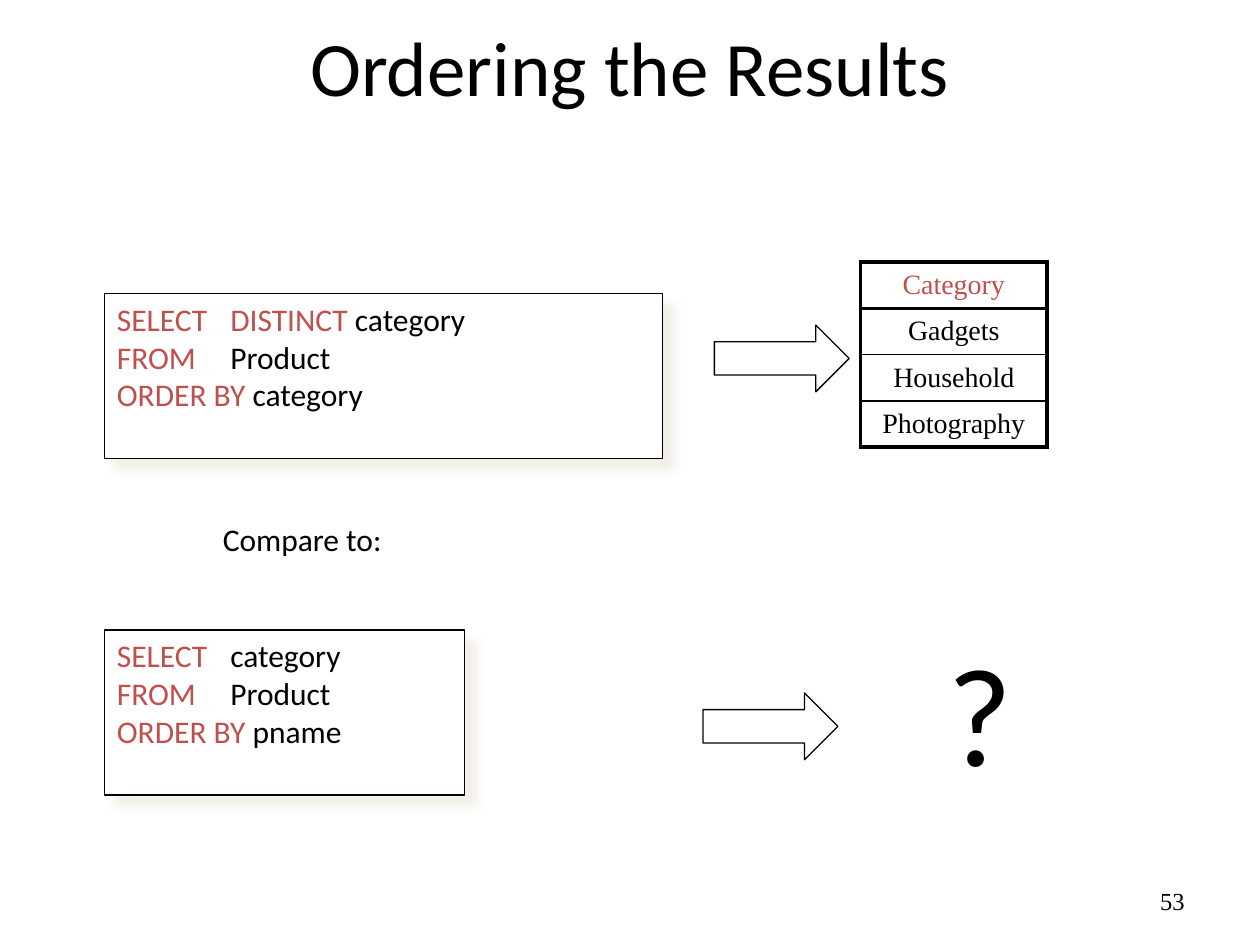
from lxml.etree import SubElement
from pptx import Presentation
from pptx.dml.color import RGBColor
from pptx.enum.shapes import MSO_SHAPE as Shape
from pptx.enum.text import MSO_ANCHOR as Anchor, PP_ALIGN as Align
from pptx.oxml import parse_xml
from pptx.oxml.ns import nsdecls, qn
from pptx.util import Inches, Pt

BLACK, WHITE, KEYWORD, SHADOW = "000000", "FFFFFF", "C0504D", "EEECE1"
SANS, SERIF = "Calibri", "Times New Roman"
THICK, THIN = 2.25, 1


def rgb(color):
    return RGBColor.from_string(color)


def inches(*lengths):
    return [Inches(length) for length in lengths]


class SlideBuilder:
    """Holds the text style and the slide being filled."""

    def __init__(self, slide, font=SANS, size=18):
        self.slide, self.font, self.size = slide, font, size

    def format_run(self, run, color=BLACK, size=None, font=None):
        run.font.name = font or self.font
        run.font.size = Pt(size or self.size)
        run.font.color.rgb = rgb(color)

    def text(self, text, box, align=Align.LEFT, anchor=Anchor.TOP, size=None, font=None):
        frame = self.slide.shapes.add_textbox(*inches(*box)).text_frame
        frame.word_wrap = True
        frame.vertical_anchor = anchor
        frame.text = text
        paragraph = frame.paragraphs[0]
        paragraph.alignment = align
        self.format_run(paragraph.runs[0], size=size, font=font)

    def outlined(self, kind, box):
        shape = self.slide.shapes.add_shape(kind, *inches(*box))
        shape.shadow.inherit = False
        shape.line.color.rgb = rgb(BLACK)
        shape.line.width = Pt(0.75)
        return shape

    def arrow(self, left, top):
        self.outlined(Shape.RIGHT_ARROW, (left, top, 1.07, 0.53)).fill.background()

    def query(self, lines, box):
        """Add a shadowed box of SQL; each line is a (keywords, rest) pair."""
        shape = self.outlined(Shape.RECTANGLE, box)
        shape.fill.solid()
        shape.fill.fore_color.rgb = rgb(WHITE)
        effects = shape._element.spPr.find(qn("a:effectLst"))
        effects.append(parse_xml(
            f'<a:outerShdw {nsdecls("a")} blurRad="{Pt(5)}" dist="{Pt(8.5)}" dir="2700000"'
            f' algn="tl" rotWithShape="0"><a:srgbClr val="{SHADOW}">'
            '<a:alpha val="75000"/></a:srgbClr></a:outerShdw>'))
        frame = shape.text_frame
        frame.word_wrap = True
        frame.vertical_anchor = Anchor.TOP
        for index, line in enumerate(lines):
            paragraph = frame.add_paragraph() if index else frame.paragraphs[0]
            paragraph.alignment = Align.LEFT
            tabs = SubElement(paragraph._p.get_or_add_pPr(), qn("a:tabLst"))
            SubElement(tabs, qn("a:tab"), pos=str(Inches(0.9)), algn="l")
            for text, color in zip(line, (KEYWORD, BLACK)):
                run = paragraph.add_run()
                run.text = text
                self.format_run(run, color)

    def set_borders(self, cell, **widths):
        properties = cell._tc.get_or_add_tcPr()
        for index, (side, width) in enumerate(widths.items()):
            properties.insert(index, parse_xml(
                f'<a:ln{side} {nsdecls("a")} w="{Pt(width)}"><a:solidFill>'
                f'<a:srgbClr val="{BLACK}"/></a:solidFill></a:ln{side}>'))

    def column_table(self, values, box):
        """Add a one-column table whose first value is the heading."""
        table = self.slide.shapes.add_table(len(values), 1, *inches(*box)).table
        table.first_row = table.horz_banding = False
        last = len(values) - 1
        for index, value in enumerate(values):
            cell = table.cell(index, 0)
            cell.text = value
            cell.vertical_anchor = Anchor.MIDDLE
            cell.fill.background()
            paragraph = cell.text_frame.paragraphs[0]
            paragraph.alignment = Align.CENTER
            self.format_run(paragraph.runs[0], BLACK if index else KEYWORD, 16, SERIF)
            self.set_borders(cell, L=THICK, R=THICK,
                             T=THIN if index > 1 else THICK,
                             B=THIN if 0 < index < last else THICK)


def main():
    presentation = Presentation()
    presentation.slide_width, presentation.slide_height = inches(10, 7.5)
    builder = SlideBuilder(presentation.slides.add_slide(presentation.slide_layouts[6]))

    builder.text("53", (7.17, 6.95, 2.33, 0.4), Align.RIGHT, Anchor.MIDDLE, 14, SERIF)
    builder.text("Ordering the Results", (0.5, -0.03, 9, 1.1),
                 Align.CENTER, Anchor.MIDDLE, 44)

    builder.query([("SELECT\tDISTINCT", " category"), ("FROM", "\tProduct"),
                   ("ORDER BY", " category")], (0.83, 2.33, 4.43, 1.31))
    builder.arrow(5.67, 2.58)
    builder.column_table(["Category", "Gadgets", "Household", "Photography"],
                         (6.83, 2.08, 1.48, 1.47))

    builder.text("Compare to:", (1.67, 4.08, 1.86, 0.5))

    builder.query([("SELECT", "\tcategory"), ("FROM", "\tProduct"),
                   ("ORDER BY", " pname")], (0.83, 5, 2.86, 1.31))
    builder.arrow(5.58, 5.5)
    builder.text("?", (7.42, 4.92, 0.69, 1.43), size=80)

    presentation.save("out.pptx")


if __name__ == "__main__":
    main()
